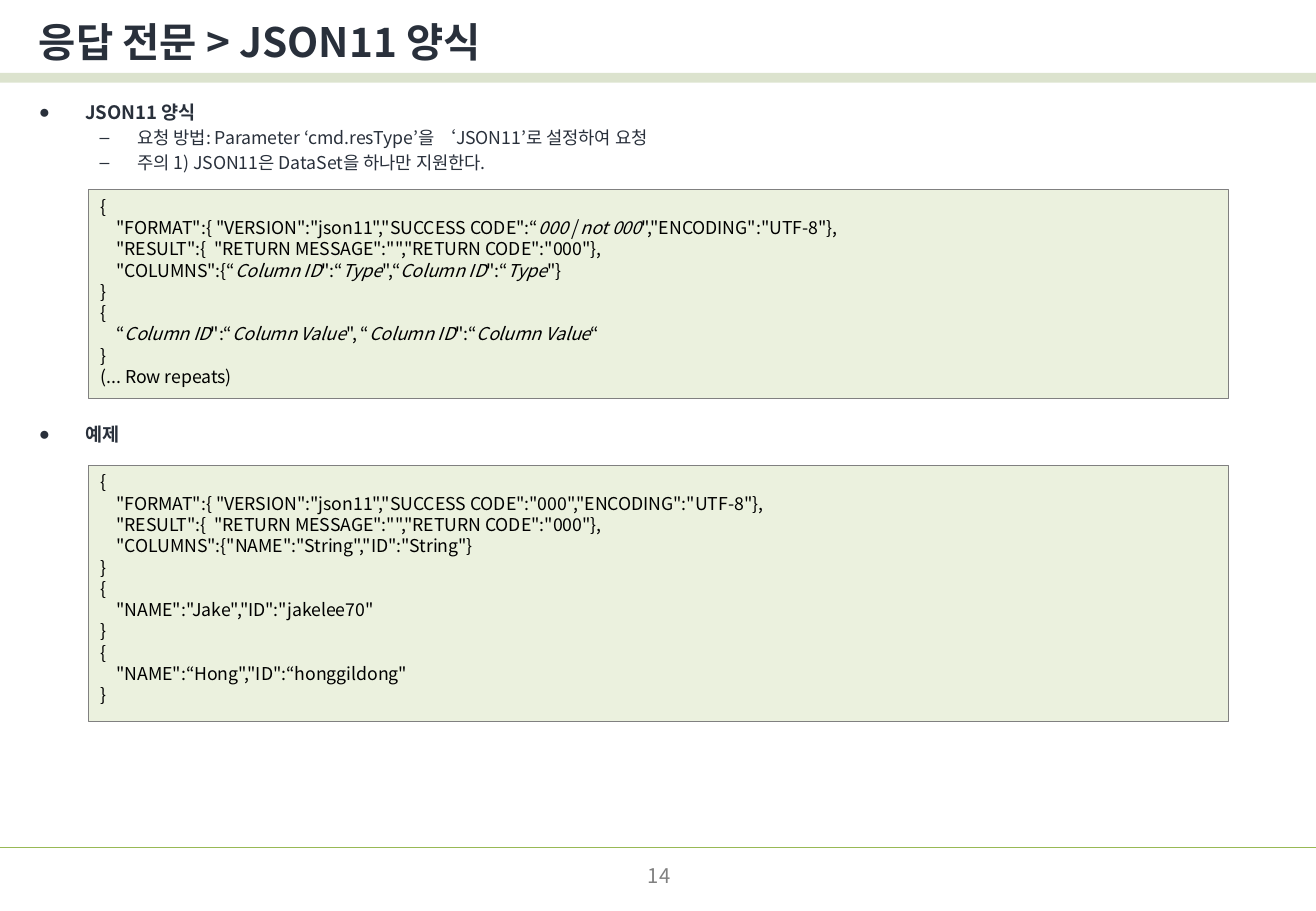
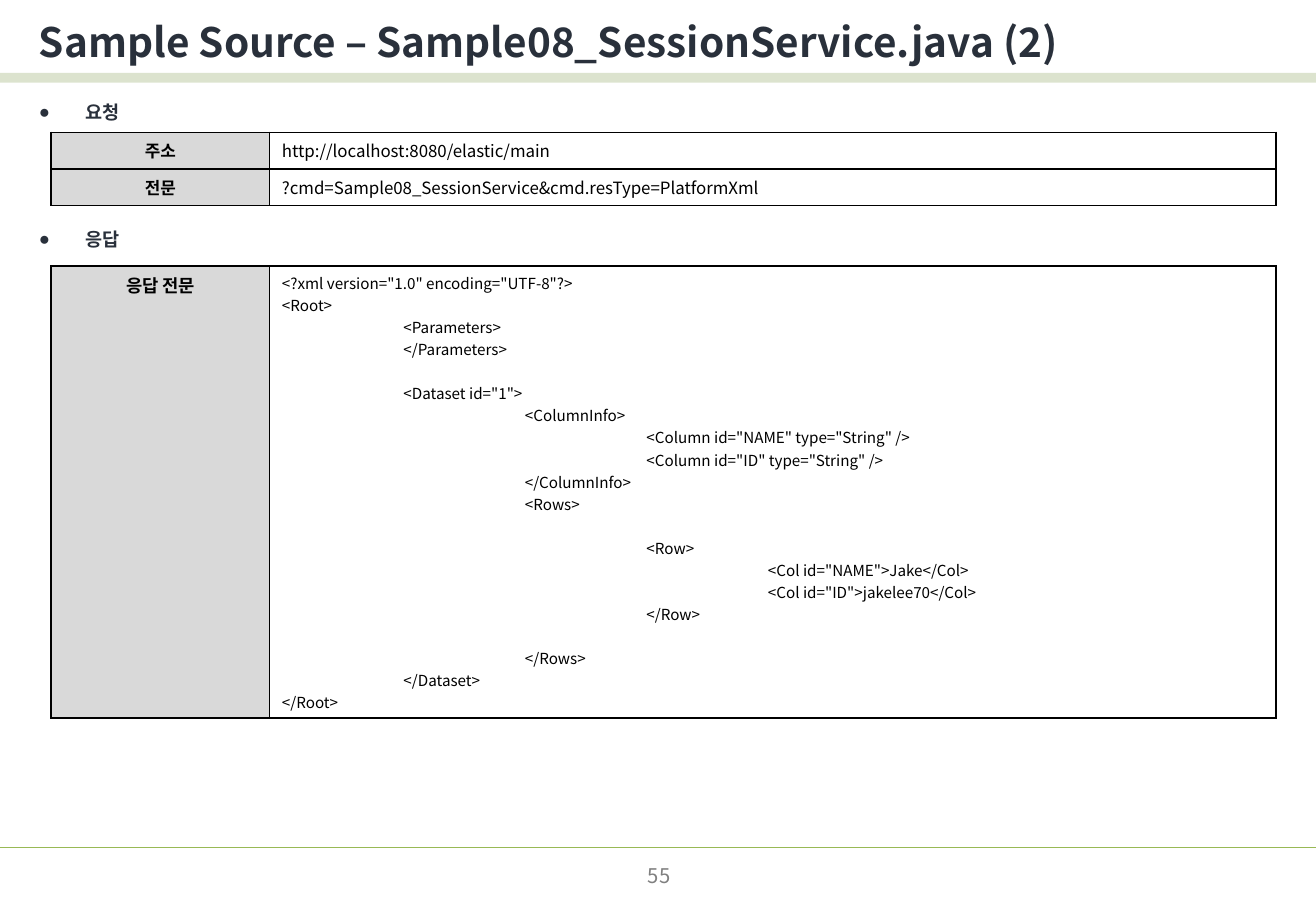
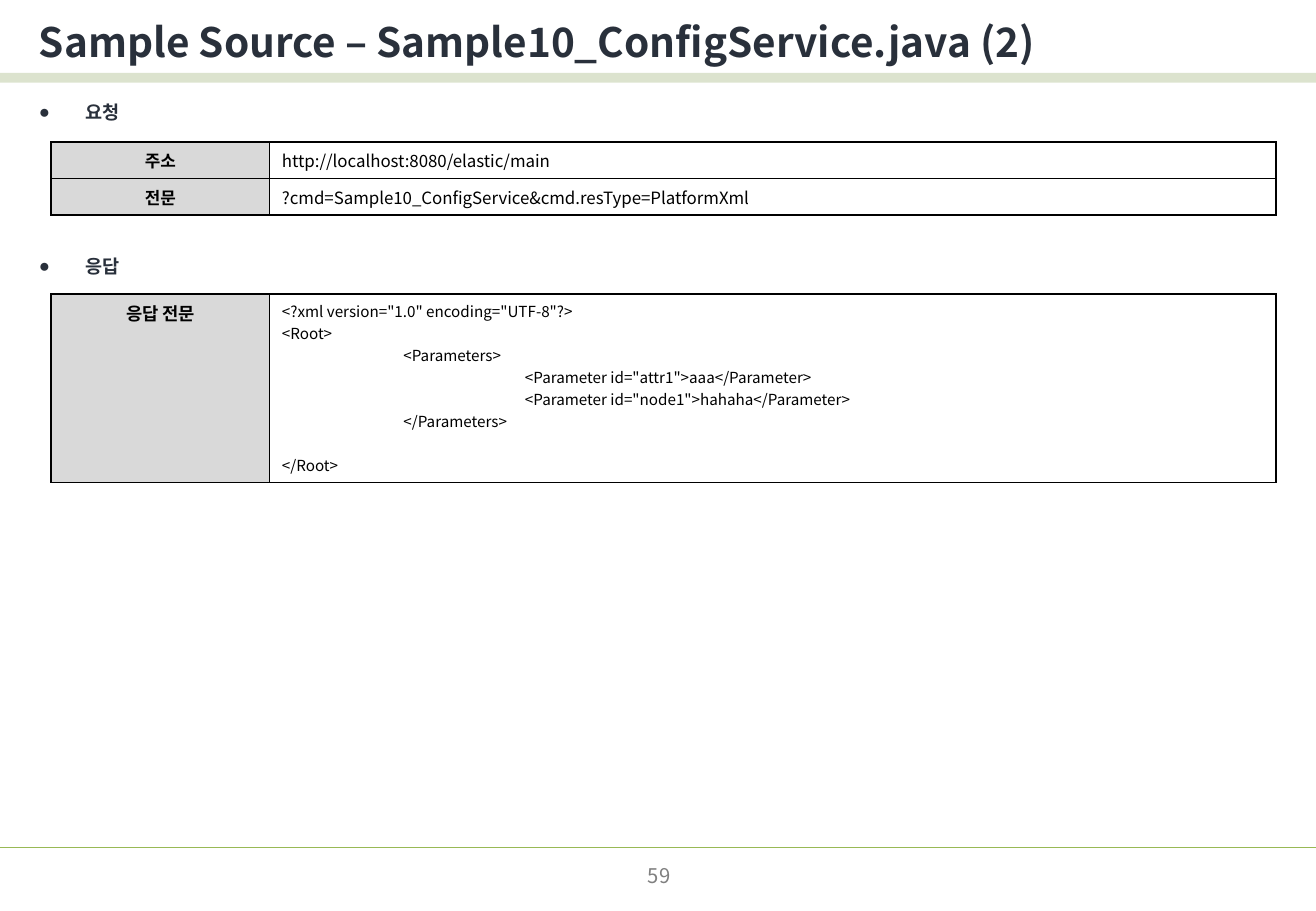
from dataclasses import dataclass

import pptx
import pptx.dml.color
import pptx.enum.shapes
import pptx.enum.text
import pptx.oxml
import pptx.oxml.ns
import pptx.util
from pptx.util import Inches, Pt

ALIGN = pptx.enum.text.PP_ALIGN
ANCHOR = pptx.enum.text.MSO_ANCHOR
qn = pptx.oxml.ns.qn


@dataclass(frozen=True)
class Theme:
    ink: str = "29303B"
    black: str = "000000"
    grey: str = "808080"
    band: str = "77933C"
    rule: str = "98B955"
    code_fill: str = "EBF1DE"
    label_fill: str = "D9D9D9"
    font: str = "Noto Sans CJK KR"
    label_font: str = "Arial"
    title_size: float = 24
    page_size: float = 12
    heading_size: float = 11
    text_size: float = 10.5
    cell_size: float = 10
    xml_size: float = 9
    leading: float = 1.2  # line height as a multiple of the type size


THEME = Theme()
SLIDE_WIDTH, SLIDE_HEIGHT = 10.83, 7.5
LEFT, TEXT_WIDTH = 0.22, 10.61
TABLE_LEFT, TABLE_COLUMNS = 0.42, (1.8, 8.28)
ROW_HEIGHT = 0.3
XML_LINE_HEIGHT = 13.04  # points
# Bullet character, left margin and hanging indent for each list level
LEVELS = (("●", 0.38, -0.38), ("–", 0.81, -0.31))

FORMAT_CODE = """{
    "FORMAT":{ "VERSION":"json11","SUCCESS CODE":“*000 | not 000*","ENCODING":"UTF-8"},
    "RESULT":{  "RETURN MESSAGE":"","RETURN CODE":"000"},
    "COLUMNS":{“*Column ID*":“*Type*",“*Column ID*":“*Type*"}
}
{
    “*Column ID*":“*Column Value*", “*Column ID*":“*Column Value*“
}
(... Row repeats)"""

EXAMPLE_CODE = """{
    "FORMAT":{ "VERSION":"json11","SUCCESS CODE":"000","ENCODING":"UTF-8"},
    "RESULT":{  "RETURN MESSAGE":"","RETURN CODE":"000"},
    "COLUMNS":{"NAME":"String","ID":"String"}
}
{
    "NAME":"Jake","ID":"jakelee70"
}
{
    "NAME":“Hong","ID":“honggildong"
}"""

SESSION_XML = """<?xml version="1.0" encoding="UTF-8"?>
<Root>
\t<Parameters>
\t</Parameters>

\t<Dataset id="1">
\t\t<ColumnInfo>
\t\t\t<Column id="NAME" type="String" />
\t\t\t<Column id="ID" type="String" />
\t\t</ColumnInfo>
\t\t<Rows>

\t\t\t<Row>
\t\t\t\t<Col id="NAME">Jake</Col>
\t\t\t\t<Col id="ID">jakelee70</Col>
\t\t\t</Row>

\t\t</Rows>
\t</Dataset>
</Root>"""

CONFIG_XML = """<?xml version="1.0" encoding="UTF-8"?>
<Root>
\t<Parameters>
\t\t<Parameter id="attr1">aaa</Parameter>
\t\t<Parameter id="node1">hahaha</Parameter>
\t</Parameters>

</Root>"""


# --- Text and XML helpers ---
def rgb(value):
    return pptx.dml.color.RGBColor.from_string(value)


def add_xml(parent, tag, **attributes):
    child = parent.makeelement(qn(tag), attributes)
    parent.append(child)
    return child


def style(paragraph, size, color, bold=False, font=THEME.font, align=ALIGN.LEFT):
    paragraph.alignment = align
    paragraph.font.size = Pt(size)
    paragraph.font.bold = bold
    paragraph.font.color.rgb = rgb(color)
    paragraph.font.name = font
    defaults = paragraph._p.get_or_add_pPr().find(qn("a:defRPr"))
    add_xml(defaults, "a:ea", typeface=THEME.font)


def paragraphs(frame, count):
    """Return the given number of paragraphs, starting with the first one."""
    return [frame.paragraphs[0]] + [frame.add_paragraph() for _ in range(count - 1)]


# --- Shared layout ---
def prepare_layout(layout):
    for placeholder in list(layout.placeholders):
        index = placeholder.placeholder_format.idx
        if index > 1:
            placeholder.element.getparent().remove(placeholder.element)
        else:
            top, height = ((0.08, 0.52), (0.78, 1.41))[index]
            placeholder.left, placeholder.top = Inches(LEFT), Inches(top)
            placeholder.width, placeholder.height = Inches(TEXT_WIDTH), Inches(height)


def move_frame_to_layout(slide, layout):
    """Draw the title band and the footer rule, and let every slide inherit them."""
    band = slide.shapes.add_shape(
        pptx.enum.shapes.MSO_SHAPE.RECTANGLE,
        0, Inches(0.6), Inches(SLIDE_WIDTH), Inches(0.08))
    band.shadow.inherit = False
    band.fill.solid()
    band.fill.fore_color.rgb = rgb(THEME.band)
    band.line.fill.background()
    add_xml(band.element.spPr.find(qn("a:solidFill"))[0], "a:alpha", val="25000")

    rule = slide.shapes.add_connector(
        pptx.enum.shapes.MSO_CONNECTOR.STRAIGHT,
        0, Inches(6.98), Inches(SLIDE_WIDTH), Inches(6.98))
    rule.line.color.rgb = rgb(THEME.rule)
    rule.line.width = Pt(0.75)
    add_xml(rule.element.spPr, "a:effectLst")

    for part in (band, rule):
        layout.shapes.element.insert(2, part.element)


# --- Slide elements ---
def add_titled_slide(deck, title, page):
    slide = deck.slides.add_slide(deck.slide_layouts[1])
    heading = slide.shapes.title.text_frame
    heading.text = title
    heading.auto_size = pptx.enum.text.MSO_AUTO_SIZE.NONE
    heading.vertical_anchor = ANCHOR.MIDDLE
    style(heading.paragraphs[0], THEME.title_size, THEME.ink, bold=True)

    number = slide.shapes.add_textbox(
        Inches(4.16), Inches(7.06), Inches(2.53), Inches(0.29)).text_frame
    number.word_wrap = True
    number.vertical_anchor = ANCHOR.MIDDLE
    number.text = str(page)
    style(number.paragraphs[0], THEME.page_size, THEME.grey, align=ALIGN.CENTER)
    return slide


def fill_list(slide, items, height, font=THEME.font):
    """Fill the body with (level, text, points of space before) items."""
    body = slide.placeholders[1]
    body.left, body.top = Inches(LEFT), Inches(0.78)
    body.width, body.height = Inches(TEXT_WIDTH), Inches(height)
    frame = body.text_frame
    frame.auto_size = pptx.enum.text.MSO_AUTO_SIZE.NONE
    frame.vertical_anchor = ANCHOR.TOP
    for paragraph, (level, text, gap) in zip(paragraphs(frame, len(items)), items):
        size = (THEME.heading_size, THEME.text_size)[level]
        bullet, margin, indent = LEVELS[level]
        paragraph.text = text
        paragraph.level = level
        paragraph.space_before = Pt(gap)
        paragraph.line_spacing = Pt(size * THEME.leading)
        properties = paragraph._p.get_or_add_pPr()
        properties.set("marL", str(Inches(margin)))
        properties.set("indent", str(Inches(indent)))
        add_xml(properties, "a:buFont", typeface="Arial")
        add_xml(properties, "a:buChar", char=bullet)
        style(paragraph, size, THEME.ink, bold=level == 0, font=font)


def add_code_box(slide, code, top, height):
    """Show code in a tinted box; text between asterisks is italic."""
    box = slide.shapes.add_shape(
        pptx.enum.shapes.MSO_SHAPE.RECTANGLE,
        Inches(0.73), Inches(top), Inches(9.38), Inches(height))
    box.shadow.inherit = False
    box.fill.solid()
    box.fill.fore_color.rgb = rgb(THEME.code_fill)
    box.line.color.rgb = rgb(THEME.grey)
    box.line.width = Pt(0.5)
    frame = box.text_frame
    frame.word_wrap = True
    frame.vertical_anchor = ANCHOR.TOP
    lines = code.split("\n")
    for paragraph, line in zip(paragraphs(frame, len(lines)), lines):
        paragraph.line_spacing = Pt(THEME.text_size * THEME.leading)
        style(paragraph, THEME.text_size, THEME.black)
        for position, part in enumerate(line.split("*")):
            run = paragraph.add_run()
            run.text = part
            if position % 2:
                run.font.italic = True


def add_borders(cell):
    properties = cell._tc.get_or_add_tcPr()
    for position, side in enumerate(("a:lnL", "a:lnR", "a:lnT", "a:lnB")):
        border = properties.makeelement(qn(side), {"w": str(Pt(1))})
        add_xml(add_xml(border, "a:solidFill"), "a:srgbClr", val=THEME.black)
        properties.insert(position, border)


def add_label_table(slide, top, row_height, labels, label_size, anchor):
    """Add a bordered table with grey labels; return its value cells."""
    table = slide.shapes.add_table(
        len(labels), 2, Inches(TABLE_LEFT), Inches(top),
        Inches(sum(TABLE_COLUMNS)), Inches(row_height * len(labels))).table
    table.first_row = table.horz_banding = False
    for column, width in zip(table.columns, TABLE_COLUMNS):
        column.width = Inches(width)
    for row, label in zip(table.rows, labels):
        row.height = Inches(row_height)
        label_cell, value_cell = row.cells
        label_cell.text = label
        style(label_cell.text_frame.paragraphs[0], label_size, THEME.black,
              bold=True, font=THEME.label_font, align=ALIGN.CENTER)
        label_cell.fill.solid()
        label_cell.fill.fore_color.rgb = rgb(THEME.label_fill)
        value_cell.fill.background()
        for cell in row.cells:
            cell.vertical_anchor = anchor
            add_borders(cell)
    return [row.cells[1] for row in table.rows]


def add_request_table(slide, top, service):
    values = ("http://localhost:8080/elastic/main",
              f"?cmd={service}&cmd.resType=PlatformXml")
    cells = add_label_table(slide, top, ROW_HEIGHT, ("주소", "전문"),
                            THEME.cell_size, ANCHOR.MIDDLE)
    for cell, value in zip(cells, values):
        cell.text = value
        style(cell.text_frame.paragraphs[0], THEME.cell_size, THEME.black)


def add_response_table(slide, top, xml):
    lines = xml.split("\n")
    height = round(len(lines) * XML_LINE_HEIGHT / 72 + 0.1, 2)
    cell, = add_label_table(slide, top, height, ("응답 전문",),
                            THEME.text_size, ANCHOR.TOP)
    # An empty line of code becomes space before the next line
    shown = [(line, number > 0 and not lines[number - 1])
             for number, line in enumerate(lines) if line]
    for paragraph, (line, after_gap) in zip(
            paragraphs(cell.text_frame, len(shown)), shown):
        paragraph.add_run().text = line
        if after_gap:
            paragraph.space_before = Pt(XML_LINE_HEIGHT)
        stops = add_xml(paragraph._p.get_or_add_pPr(), "a:tabLst")
        for inch in range(1, 5):
            add_xml(stops, "a:tab", pos=str(Inches(inch)), algn="l")
        style(paragraph, THEME.xml_size, THEME.black)


# --- Slides ---
def add_format_slide(deck):
    slide = add_titled_slide(deck, "응답 전문 > JSON11 양식", 14)
    fill_list(slide, (
        (0, "JSON11 양식", 0),
        (1, "요청 방법: Parameter ‘cmd.resType’을 ‘JSON11’로 설정하여 요청", 2.1),
        (1, "주의 1) JSON11은 DataSet을 하나만 지원한다.", 2.1),
        (0, "예제", 148.5)), height=3)
    add_code_box(slide, FORMAT_CODE, 1.56, 1.72)
    add_code_box(slide, EXAMPLE_CODE, 3.83, 2.11)
    return slide


def add_sample_slide(deck, page, service, xml, body_height, response_gap,
                     request_top, response_top):
    slide = add_titled_slide(deck, f"Sample Source – {service}.java (2)", page)
    fill_list(slide, ((0, "요청", 0), (0, "응답", response_gap)),
              body_height, font=THEME.label_font)
    add_request_table(slide, request_top, service)
    add_response_table(slide, response_top, xml)


def main():
    deck = pptx.Presentation()
    deck.slide_width, deck.slide_height = Inches(SLIDE_WIDTH), Inches(SLIDE_HEIGHT)
    layout = deck.slide_layouts[1]
    prepare_layout(layout)

    frame_source = add_format_slide(deck)
    move_frame_to_layout(frame_source, layout)
    add_sample_slide(deck, 55, "Sample08_SessionService", SESSION_XML,
                     body_height=1.41, response_gap=62.4,
                     request_top=1.09, response_top=2.19)
    add_sample_slide(deck, 59, "Sample10_ConfigService", CONFIG_XML,
                     body_height=1.6, response_gap=78.1,
                     request_top=1.17, response_top=2.42)
    deck.save("out.pptx")


if __name__ == "__main__":
    main()
